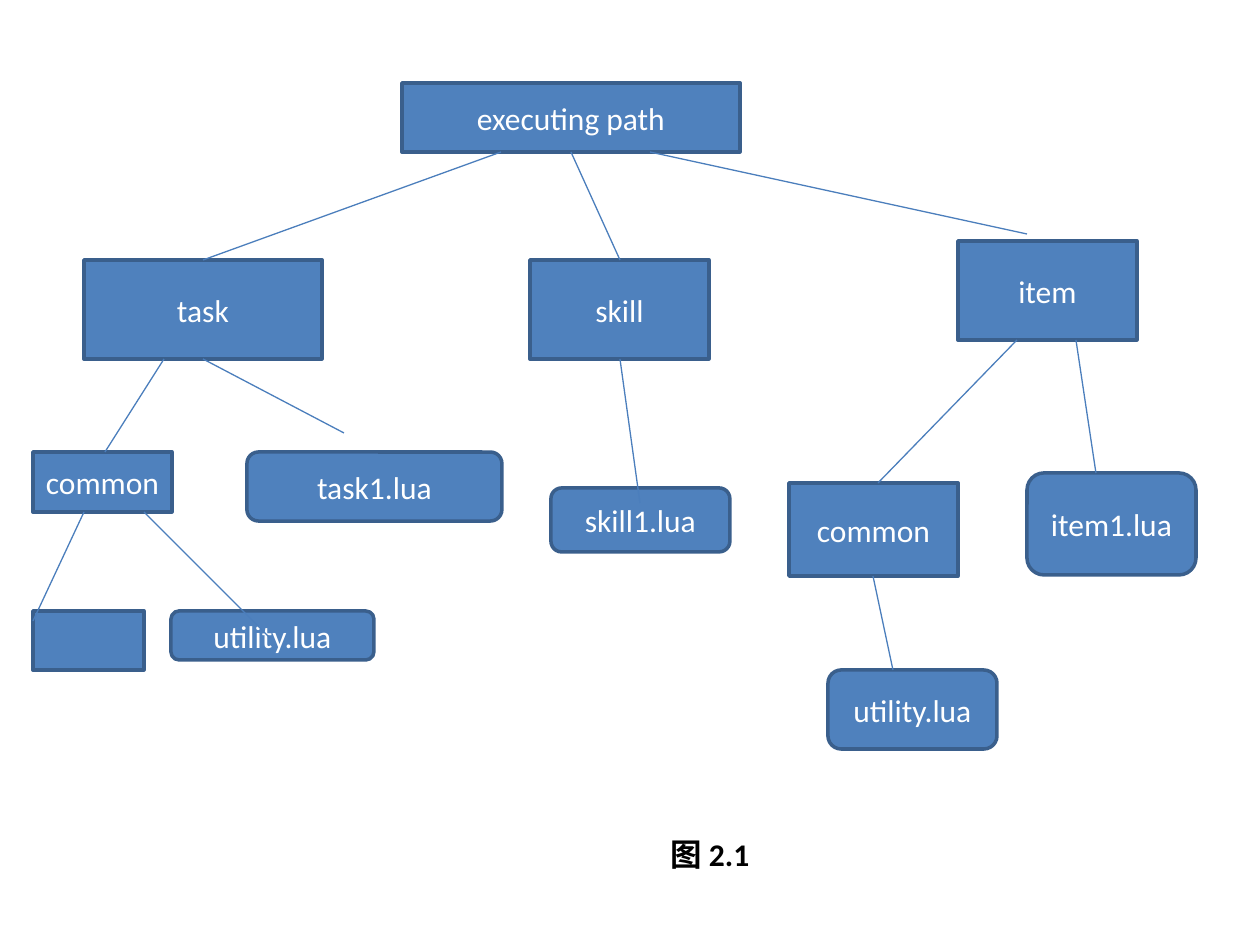
from lxml import etree
from pptx import Presentation
from pptx.dml.color import RGBColor
from pptx.enum.shapes import MSO_CONNECTOR, MSO_SHAPE
from pptx.enum.text import MSO_ANCHOR, PP_ALIGN
from pptx.oxml.ns import qn
from pptx.util import Inches, Pt

PX = Inches(1) / 126
FOLDER, FILE = MSO_SHAPE.RECTANGLE, MSO_SHAPE.ROUNDED_RECTANGLE
COLORS = {"box": "4F81BD", "border": "3A5F8C", "line": "4B7EBC",
          "label": "FFFFFF", "caption": "000000"}

# key: (label, kind, left, top, width, height)
NODES = {
    "root": ("executing path", FOLDER, 402, 83, 338, 69),
    "task": ("task", FOLDER, 84, 260, 238, 99),
    "skill": ("skill", FOLDER, 530, 260, 179, 99),
    "item": ("item", FOLDER, 958, 241, 179, 99),
    "task common": ("common", FOLDER, 33, 452, 139, 60),
    "task utility": ("utility.lua", FILE, 171, 611, 203, 49),
    "task1": ("task1.lua", FILE, 247, 452, 255, 69),
    "empty": ("", FOLDER, 33, 611, 111, 59),
    "item common": ("common", FOLDER, 789, 483, 169, 93),
    "item1": ("item1.lua", FILE, 1027, 473, 169, 102),
    "item utility": ("utility.lua", FILE, 828, 670, 169, 79),
    "skill1": ("skill1.lua", FILE, 551, 488, 179, 64),
}
# (parent, x at its bottom, child, x at its top, offset from that top)
EDGES = [
    ("root", 501, "task", 203, 0),
    ("root", 571, "skill", 620, 0),
    ("root", 650, "item", 1027, -7),
    ("task", 164, "task common", 105, 0),
    ("task", 203, "task1", 344, -19),
    ("task common", 84, "empty", 33, 10),
    ("task common", 144, "task utility", 270, 27),
    ("skill", 620, "skill1", 640, 15),
    ("item", 1017, "item common", 878, 0),
    ("item", 1076, "item1", 1096, 0),
    ("item common", 873, "item utility", 893, 0),
]
CAPTION = ("图 2.1", 530, 829, 343, 50)
CAPTION_INDENT = 128


def px(*values):
    return [round(v * PX) for v in values]


def rgb(name):
    return RGBColor.from_string(COLORS[name])


def add_run(p, text, color, bold=False):
    r = p.add_run()
    r.text = text
    r.font.name, r.font.size, r.font.bold = "Calibri", Pt(18), bold
    r.font.color.rgb = rgb(color)


def add_node(label, kind, *box):
    sp = s.shapes.add_shape(kind, *px(*box))
    sp.shadow.inherit = False
    sp.fill.solid()
    sp.fill.fore_color.rgb = rgb("box")
    sp.line.color.rgb = rgb("border")
    sp.line.width = Pt(2)
    if label:
        tf = sp.text_frame
        tf.word_wrap = True
        tf.vertical_anchor = MSO_ANCHOR.MIDDLE
        tf.paragraphs[0].alignment = PP_ALIGN.CENTER
        add_run(tf.paragraphs[0], label, "label")


def add_edge(parent, x1, child, x2, offset):
    top, height = NODES[parent][3], NODES[parent][5]
    ends = px(x1, top + height, x2, NODES[child][3] + offset)
    line = s.shapes.add_connector(MSO_CONNECTOR.STRAIGHT, *ends)
    line.line.color.rgb = rgb("line")
    line.line.width = Pt(0.75)
    etree.SubElement(line._element.spPr, qn("a:effectLst"))


prs = Presentation()
prs.slide_width, prs.slide_height = Inches(10), Inches(7.5)
s = prs.slides.add_slide(prs.slide_layouts[6])

for node in NODES.values():
    add_node(*node)
for edge in EDGES:
    add_edge(*edge)

text, *box = CAPTION
tf = s.shapes.add_textbox(*px(*box)).text_frame
tf.word_wrap = True
p = tf.paragraphs[0]
p._p.get_or_add_pPr().set("marL", str(px(CAPTION_INDENT)[0]))
add_run(p, text, "caption", bold=True)

prs.save("out.pptx")
